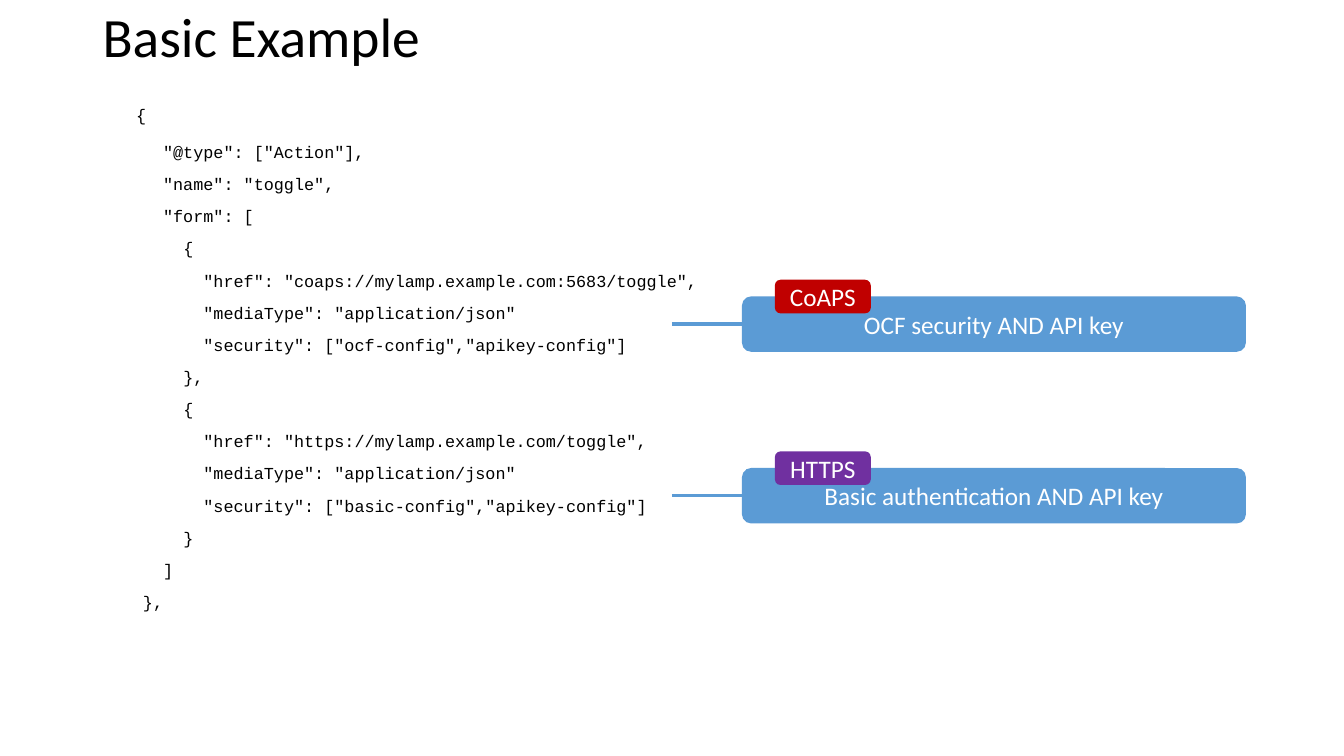
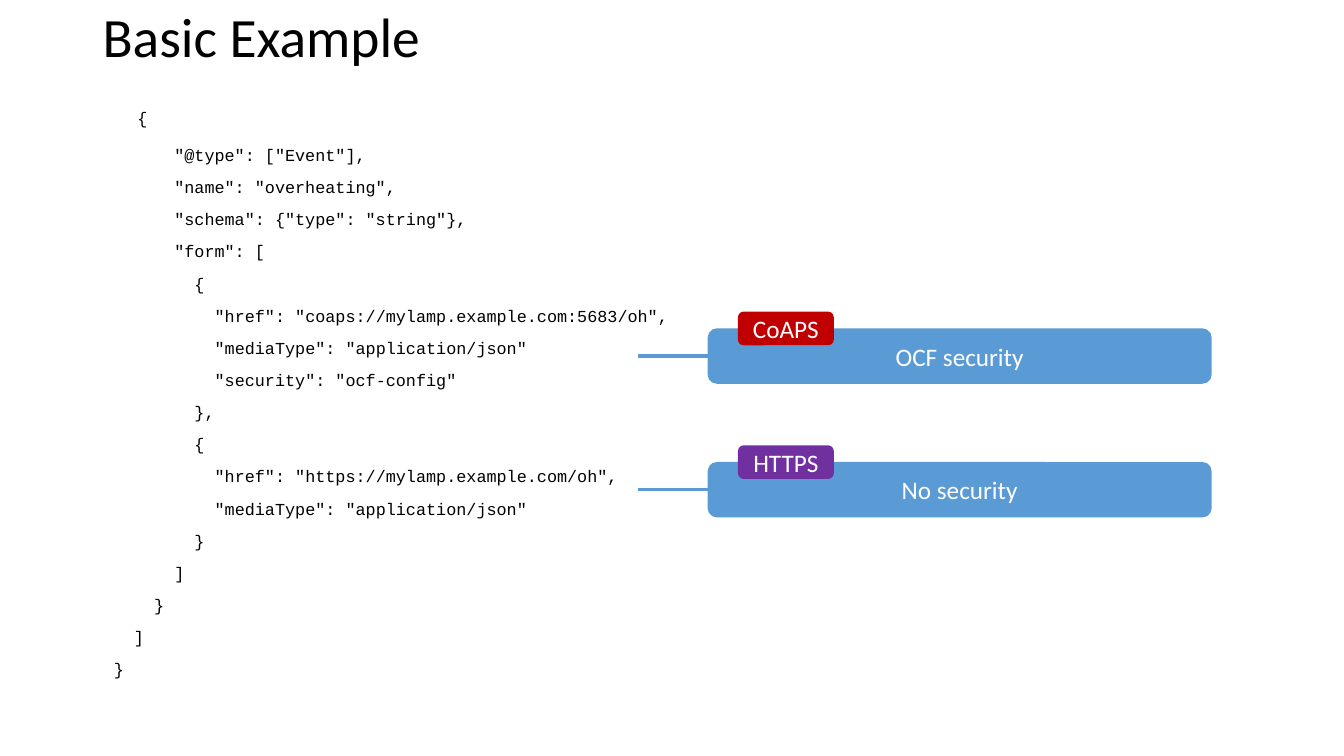
import dataclasses

import lxml.etree
import pptx
import pptx.dml.color
import pptx.enum.shapes
import pptx.enum.text
import pptx.oxml.ns
import pptx.util

Pt = pptx.util.Pt
RGB = pptx.dml.color.RGBColor.from_string
Align = pptx.enum.text.PP_ALIGN
Anchor = pptx.enum.text.MSO_ANCHOR


@dataclasses.dataclass(frozen=True)
class Theme:
    ink: str = "000000"
    paper: str = "FFFFFF"
    bar: str = "5B9BD5"
    coaps: str = "C00000"
    https: str = "7030A0"
    text_font: str = "Calibri"
    code_font: str = "Courier New"
    title_size: float = 39.6
    label_size: float = 18
    code_size: float = 12
    code_lead_size: float = 28
    line_width: float = 2.5


@dataclasses.dataclass(frozen=True)
class Box:
    left: float
    top: float
    width: float
    height: float

    def lengths(self):
        return [Pt(value) for value in dataclasses.astuple(self)]


THEME = Theme()
TITLE_BOX = Box(66.25, 5.75, 828, 44.65)
BAR_WIDTH, BAR_HEIGHT = 360, 39.6
BADGE_WIDTH, BADGE_HEIGHT, BADGE_RISE = 68.5, 24, 11.9
LEADER_LENGTH = 50
CODE_COLUMN = THEME.code_size * 0.6  # advance of one monospaced character
BADGE_COLORS = {"CoAPS": THEME.coaps, "HTTPS": THEME.https}

ACTION_CODE = """\
 {
      "@type": ["Action"],
      "name": "toggle",
      "form": [
        {
          "href": "coaps://mylamp.example.com:5683/toggle",
          "mediaType": "application/json"
          "security": ["ocf-config","apikey-config"]
        },
        {
          "href": "https://mylamp.example.com/toggle",
          "mediaType": "application/json"
          "security": ["basic-config","apikey-config"]
        }
      ]
    },"""

EVENT_CODE = """\
{
      "@type": ["Event"],
      "name": "overheating",
      "schema": {"type": "string"},
      "form": [
        {
          "href": "coaps://mylamp.example.com:5683/oh",
          "mediaType": "application/json"
          "security": "ocf-config"
        },
        {
          "href": "https://mylamp.example.com/oh",
          "mediaType": "application/json"
        }
      ]
    }
  ]
}"""


def apply_format(target, values):
    for name, value in values.items():
        setattr(target, name, value)


def add_run(paragraph, text, font, size, color):
    run = paragraph.add_run()
    run.text = text
    apply_format(run.font, {"name": font, "size": Pt(size)})
    run.font.color.rgb = RGB(color)


def add_title(slide, box, text):
    shape = slide.shapes.add_textbox(*box.lengths())
    apply_format(shape.text_frame, {"word_wrap": True, "vertical_anchor": Anchor.MIDDLE})
    paragraph = shape.text_frame.paragraphs[0]
    paragraph.line_spacing = 0.9
    add_run(paragraph, text, THEME.text_font, THEME.title_size, THEME.ink)


def add_code(slide, box, code):
    """Lists code, turning its leading columns into paragraph indents."""
    shape = slide.shapes.add_textbox(*box.lengths())
    frame = shape.text_frame
    frame.word_wrap = True
    for number, line in enumerate(code.splitlines()):
        paragraph = frame.add_paragraph() if number else frame.paragraphs[0]
        apply_format(paragraph, {"line_spacing": 0.9, "space_before": Pt(10)})
        text = line.lstrip()
        indent = Pt((len(line) - len(text)) * CODE_COLUMN)
        paragraph._p.get_or_add_pPr().set("marL", str(int(indent)))
        # A large space sets the height of the opening line
        if number == 0:
            add_run(paragraph, " ", THEME.code_font, THEME.code_lead_size, THEME.ink)
        add_run(paragraph, text, THEME.code_font, THEME.code_size, THEME.ink)


def add_label(slide, box, text, color):
    shape = slide.shapes.add_shape(
        pptx.enum.shapes.MSO_SHAPE.ROUNDED_RECTANGLE, *box.lengths())
    shape.shadow.inherit = False
    shape.fill.solid()
    shape.fill.fore_color.rgb = RGB(color)
    shape.line.fill.background()
    apply_format(shape.text_frame, {"word_wrap": True, "vertical_anchor": Anchor.MIDDLE})
    paragraph = shape.text_frame.paragraphs[0]
    paragraph.alignment = Align.CENTER
    add_run(paragraph, text, THEME.text_font, THEME.label_size, THEME.paper)


def add_callout(slide, box, protocol, text, badge_offset):
    # Leader line towards the code
    middle = Pt(box.top + box.height / 2)
    leader = slide.shapes.add_connector(
        pptx.enum.shapes.MSO_CONNECTOR.STRAIGHT,
        Pt(box.left - LEADER_LENGTH), middle, Pt(box.left), middle)
    leader.line.color.rgb = RGB(THEME.bar)
    leader.line.width = Pt(THEME.line_width)
    lxml.etree.SubElement(leader._element.spPr, pptx.oxml.ns.qn("a:effectLst"))

    # Bar with the protocol badge over its top edge
    add_label(slide, box, text, THEME.bar)
    badge = Box(box.left + badge_offset, box.top - BADGE_RISE, BADGE_WIDTH, BADGE_HEIGHT)
    add_label(slide, badge, protocol, BADGE_COLORS[protocol])


def add_example_slide(presentation, code_box, code, bar_left, badge_offset, callouts):
    slide = presentation.slides.add_slide(presentation.slide_layouts[6])
    add_title(slide, TITLE_BOX, "Basic Example")
    add_code(slide, code_box, code)
    for top, protocol, text in callouts:
        bar = Box(bar_left, top, BAR_WIDTH, BAR_HEIGHT)
        add_callout(slide, bar, protocol, text, badge_offset)


presentation = pptx.Presentation()
apply_format(presentation, {"slide_width": Pt(960), "slide_height": Pt(540)})

add_example_slide(
    presentation, Box(66.25, 59, 487.5, 457.2), ACTION_CODE,
    bar_left=530, badge_offset=23.5,
    callouts=[
        (211.7, "CoAPS", "OCF security AND API key"),
        (334.3, "HTTPS", "Basic authentication AND API key"),
    ])

add_example_slide(
    presentation, Box(74.2, 61.2, 453, 457.2), EVENT_CODE,
    bar_left=505.5, badge_offset=21.6,
    callouts=[
        (234.5, "CoAPS", "OCF security"),
        (330, "HTTPS", "No security"),
    ])

presentation.save("out.pptx")
